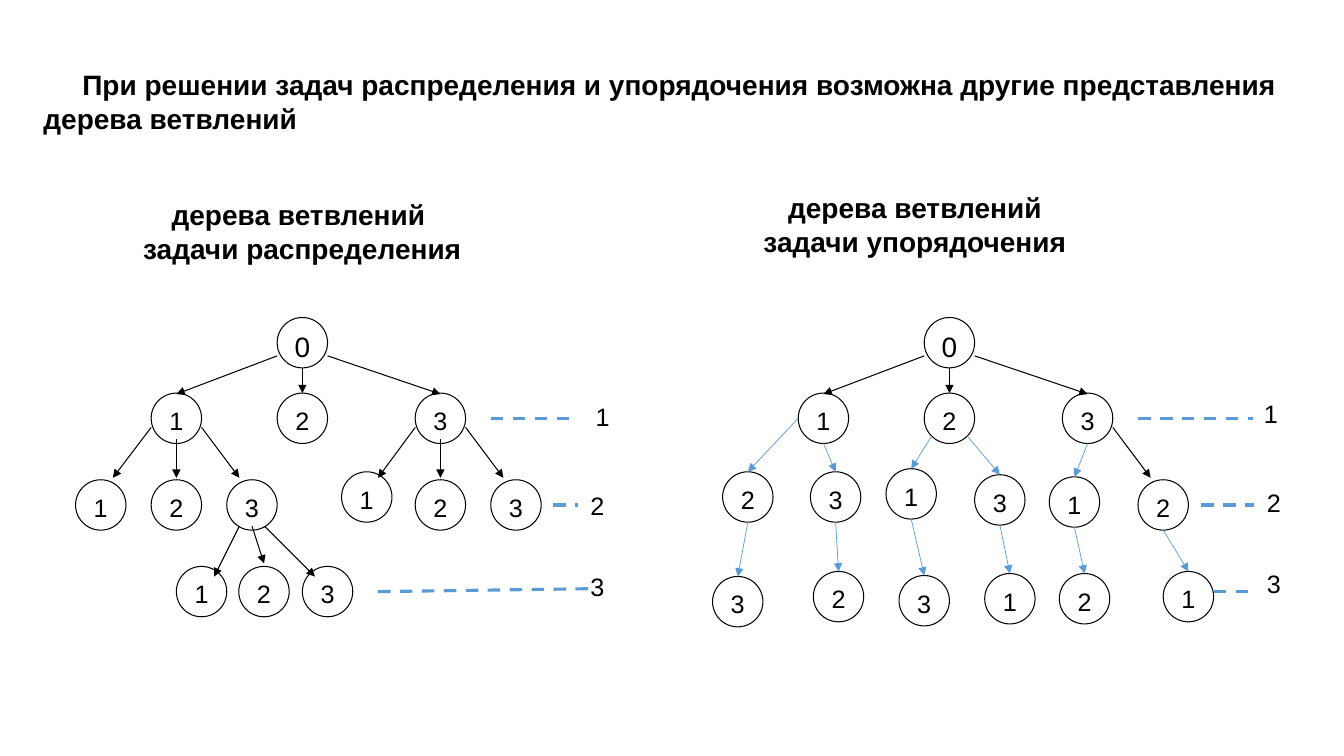
from dataclasses import dataclass

from lxml.etree import SubElement
from pptx import Presentation
from pptx.dml.color import RGBColor
from pptx.enum.dml import MSO_LINE
from pptx.enum.shapes import MSO_CONNECTOR, MSO_SHAPE
from pptx.enum.text import MSO_ANCHOR, MSO_AUTO_SIZE, PP_ALIGN
from pptx.oxml.ns import qn
from pptx.util import Pt


@dataclass(frozen=True)
class Theme:
    font: str = "Arial"
    ink: RGBColor = RGBColor(0x00, 0x00, 0x00)
    paper: RGBColor = RGBColor(0xFF, 0xFF, 0xFF)
    accent: RGBColor = RGBColor(0x5B, 0x9B, 0xD5)
    heading: int = 20
    label: int = 18
    outline: float = 0.75
    thin: float = 0.5
    thick: float = 2.25


THEME = Theme()

# Content: all lengths in points
HEADING = (
    "При решении задач распределения и упорядочения возможна другие представления",
    "дерева ветвлений",
)
HEADING_BOX = (23.8, 44.6, 913, 55.4)
HEADING_INDENT = 27.8

CAPTIONS = [
    (("дерева ветвлений ", "задачи распределения"), (62.6, 137.5, 306.7, 55.4)),
    (("дерева ветвлений ", "задачи упорядочения "), (537.1, 132.5, 238.3, 55.4)),
]

DIAMETER = 36
R = DIAMETER / 2
ROOT_Y, ROW1, ROW2, ROW3 = 244.8, 298.8, 360.7, 422.6

# Arrow starts, measured from the centre of the parent
SIDE_LEFT, SIDE_RIGHT, LOW = (-R, 6.5), (R, 6.5), (0, 15.1)
ROOT_LEFT, ROOT_RIGHT = (-R, 9.4), (R, 9.4)
BOTTOM, LEFT, DIAG_LEFT, DIAG_RIGHT = (0, R), (-R, 0), (-12.7, 12.7), (12.7, 12.7)
# Arrow ends, measured from the centre of the child
TOP, UNDER_TOP, ABOVE = (0, -R), (0, -17.3), (0, -19.4)
ABOVE_RIGHT, ABOVE_LEFT = (8.6, -19.4), (-9, -19.4)

# Path from the root (its last digit is the label): centre x, centre y,
# arrow start, arrow end, arrow colour
INK, BLUE = (THEME.ink, THEME.outline), (THEME.accent, THEME.thin)
DISTRIBUTION_TREE = {
    "0": (216, ROOT_Y, None, None, None),
    "01": (126, ROW1, ROOT_LEFT, UNDER_TOP, INK),
    "02": (216, ROW1, BOTTOM, TOP, INK),
    "03": (314.6, ROW1, ROOT_RIGHT, UNDER_TOP, INK),
    "011": (72, ROW2, SIDE_LEFT, ABOVE_RIGHT, INK),
    "012": (126, ROW2, LOW, ABOVE, INK),
    "013": (180, ROW2, SIDE_RIGHT, ABOVE_LEFT, INK),
    "031": (262, 355, SIDE_LEFT, (8, -13.7), INK),
    "032": (314.6, ROW2, LOW, ABOVE, INK),
    "033": (368.6, ROW2, SIDE_RIGHT, ABOVE_LEFT, INK),
    "0131": (144, ROW3, (-9, 15.1), (9, -10.8), INK),
    "0132": (188.6, ROW3, LOW, (0, -20.1), INK),
    "0133": (234, ROW3, (9, 15.1), (-9, -10.8), INK),
}
ORDERING_TREE = {
    "0": (678.2, ROOT_Y, None, None, None),
    "01": (588.2, ROW1, ROOT_LEFT, UNDER_TOP, INK),
    "02": (678.2, ROW1, BOTTOM, TOP, INK),
    "03": (776.9, ROW1, ROOT_RIGHT, UNDER_TOP, INK),
    "012": (534.2, 355, LEFT, TOP, BLUE),
    "013": (596.9, 355, BOTTOM, TOP, BLUE),
    "021": (650.9, 352.8, DIAG_LEFT, TOP, BLUE),
    "023": (714.2, 357.1, DIAG_RIGHT, TOP, BLUE),
    "031": (767.5, 358.6, BOTTOM, TOP, BLUE),
    "032": (830.9, ROW2, SIDE_RIGHT, ABOVE_LEFT, INK),
    "0123": (527, 429.8, BOTTOM, TOP, BLUE),
    "0132": (599, 426.2, BOTTOM, TOP, BLUE),
    "0213": (660.2, 429.1, BOTTOM, TOP, BLUE),
    "0231": (721.4, 427.7, BOTTOM, TOP, BLUE),
    "0312": (774.7, 427.7, BOTTOM, TOP, BLUE),
    "0321": (848.9, 426.2, BOTTOM, TOP, BLUE),
}

# Level number, its left and top, then the dashed guide from and to
LEVELS = [
    ("1", (418.3, 283), (350.6, ROW1), (412.6, ROW1)),
    ("2", (414.7, 347), (395.3, ROW2), (412.6, ROW2)),
    ("3", (414.7, 404.6), (270, 422.6), (422.6, 420.5)),
    ("1", (895.7, 280.8), (812.9, ROW1), (895, ROW1)),
    ("2", (897.8, 344.2), (858.2, ROW2), (895.7, ROW2)),
    ("3", (897.8, 402.5), (866.9, ROW3), (895, ROW3)),
]
LEVEL_SIZE = (24.5, 29)


def points(*lengths):
    return [Pt(length) for length in lengths]


def write(frame, lines, size, align, bold=False, wrap=True):
    frame.word_wrap = wrap
    frame.auto_size = MSO_AUTO_SIZE.NONE
    frame.vertical_anchor = MSO_ANCHOR.TOP
    for number, line in enumerate(lines):
        paragraph = frame.add_paragraph() if number else frame.paragraphs[0]
        paragraph.alignment = align
        run = paragraph.add_run()
        run.text = line
        run.font.name = THEME.font
        run.font.size = Pt(size)
        run.font.bold = bold
        run.font.color.rgb = THEME.ink


def add_line(slide, start, end, color, width):
    line = slide.shapes.add_connector(MSO_CONNECTOR.STRAIGHT, *points(*start, *end))
    line.line.color.rgb = color
    line.line.width = Pt(width)
    SubElement(line._element.spPr, qn("a:effectLst"))
    return line


def add_node(slide, label, x, y):
    node = slide.shapes.add_shape(
        MSO_SHAPE.OVAL, *points(x - R, y - R, DIAMETER, DIAMETER))
    node.shadow.inherit = False
    node.fill.solid()
    node.fill.fore_color.rgb = THEME.paper
    node.line.color.rgb = THEME.ink
    node.line.width = Pt(THEME.outline)
    size = THEME.heading if label == "0" else THEME.label
    write(node.text_frame, [label], size, PP_ALIGN.CENTER, wrap=False)


def add_tree(slide, tree):
    for route, (x, y, *_) in tree.items():
        add_node(slide, route[-1], x, y)
    for route, (x, y, start, end, style) in tree.items():
        if start is None:
            continue
        parent_x, parent_y = tree[route[:-1]][:2]
        arrow = add_line(slide, (parent_x + start[0], parent_y + start[1]),
                         (x + end[0], y + end[1]), *style)
        SubElement(arrow.line._get_or_add_ln(), qn("a:tailEnd"), type="triangle")


def main():
    deck = Presentation()
    deck.slide_width, deck.slide_height = points(960, 540)
    slide = deck.slides.add_slide(deck.slide_layouts[5])

    # Heading
    heading = slide.shapes.title
    heading.left, heading.top, heading.width, heading.height = points(*HEADING_BOX)
    write(heading.text_frame, HEADING, THEME.heading, PP_ALIGN.JUSTIFY, bold=True)
    first_line = heading.text_frame.paragraphs[0]._p.get_or_add_pPr()
    first_line.set("indent", str(Pt(HEADING_INDENT)))

    # Trees
    for tree in (DISTRIBUTION_TREE, ORDERING_TREE):
        add_tree(slide, tree)

    # Level guides and numbers
    for number, corner, start, end in LEVELS:
        guide = add_line(slide, start, end, THEME.accent, THEME.thick)
        guide.line.dash_style = MSO_LINE.DASH
        level = slide.shapes.add_textbox(*points(*corner, *LEVEL_SIZE))
        write(level.text_frame, [number], THEME.label, PP_ALIGN.LEFT, wrap=False)

    # Tree captions
    for lines, box in CAPTIONS:
        caption = slide.shapes.add_textbox(*points(*box))
        write(caption.text_frame, lines, THEME.heading, PP_ALIGN.CENTER, bold=True)

    deck.save("out.pptx")


if __name__ == "__main__":
    main()
